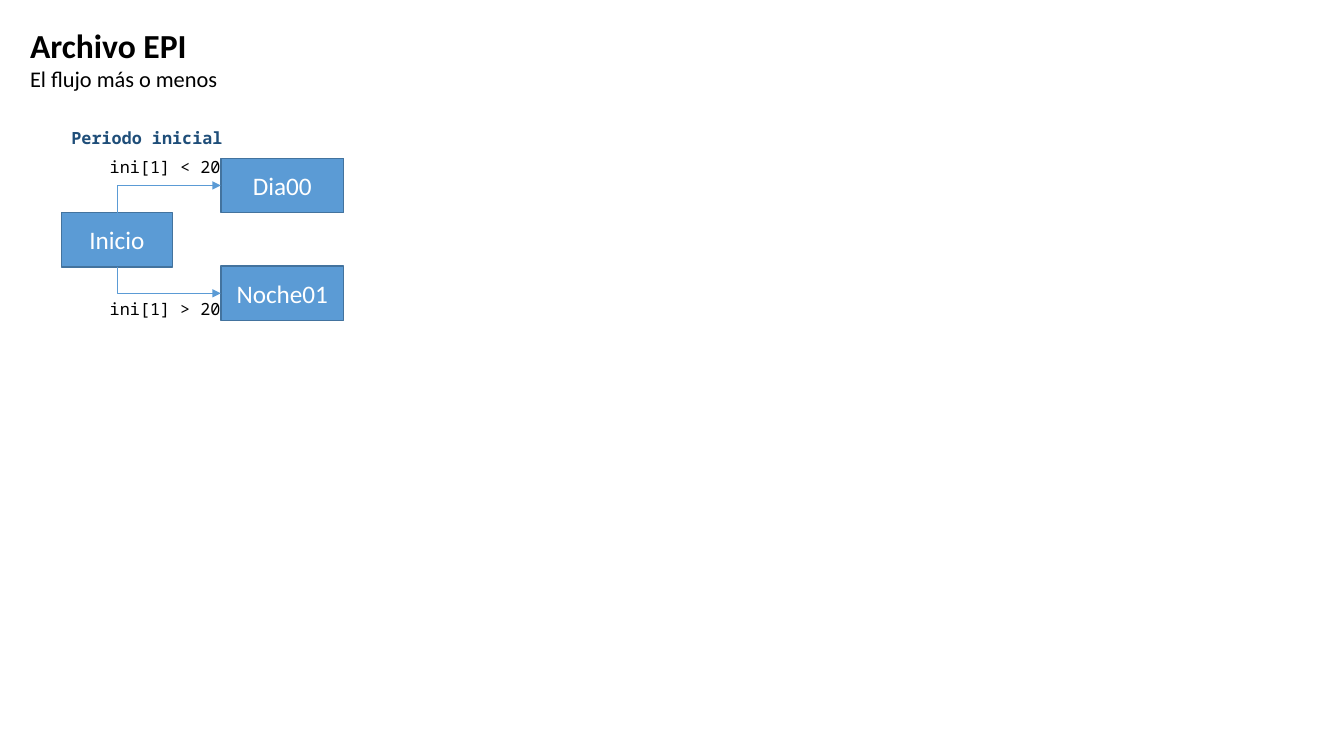
import pptx
import pptx.dml.color
import pptx.enum.shapes
import pptx.enum.text
import pptx.oxml
import pptx.oxml.ns
import pptx.util
from pptx.util import Inches

BODY_FONT = "Calibri"
CODE_FONT = "Noto Sans Mono"
BLUE = "5B9BD5"
BOX_HEIGHT = 0.54
TOP, BOTTOM, RIGHT_ENTRY = 0, 2, 1


def color(hex_value):
    return pptx.dml.color.RGBColor.from_string(hex_value)


def write_text(paragraph, text, size=12, font=BODY_FONT, fill="000000", bold=False):
    run = paragraph.add_run()
    run.text = text
    run.font.size = pptx.util.Pt(size)
    run.font.name = font
    run.font.bold = bold
    run.font.color.rgb = color(fill)


def add_text_box(slide, left, top, width, height, lines):
    """Each line is a pair: its text and its format."""
    shape = slide.shapes.add_textbox(
        Inches(left), Inches(top), Inches(width), Inches(height))
    frame = shape.text_frame
    frame.word_wrap = True
    for index, (text, text_format) in enumerate(lines):
        paragraph = frame.add_paragraph() if index else frame.paragraphs[0]
        write_text(paragraph, text, **text_format)


def add_state(slide, text, left, top, width):
    shape = slide.shapes.add_shape(
        pptx.enum.shapes.MSO_SHAPE.RECTANGLE,
        Inches(left), Inches(top), Inches(width), Inches(BOX_HEIGHT))
    shape.shadow.inherit = False
    shape.fill.solid()
    shape.fill.fore_color.rgb = color(BLUE)
    shape.line.color.rgb = color("43739E")
    shape.line.width = pptx.util.Pt(1)
    frame = shape.text_frame
    frame.word_wrap = True
    frame.vertical_anchor = pptx.enum.text.MSO_ANCHOR.MIDDLE
    paragraph = frame.paragraphs[0]
    paragraph.alignment = pptx.enum.text.PP_ALIGN.CENTER
    write_text(paragraph, text, size=18, fill="FFFFFF")
    return shape


def add_bent_arrow(slide, source, target, side):
    """One-corner arrow from the top or bottom of source to the left of target."""
    start_x = source.left + source.width // 2
    start_y = source.top + (source.height if side == BOTTOM else 0)
    end_x = target.left
    end_y = target.top + target.height // 2
    connector = slide.shapes.add_connector(
        pptx.enum.shapes.MSO_CONNECTOR.ELBOW, start_x, start_y, end_x, end_y)
    connector.begin_connect(source, side)
    connector.end_connect(target, RIGHT_ENTRY)
    connector.line.color.rgb = color(BLUE)
    connector.line.width = pptx.util.Pt(0.5)

    # The single-corner preset leaves sideways, so its frame is turned a quarter
    run_length, rise = end_x - start_x, abs(end_y - start_y)
    connector.width, connector.height = rise, run_length
    connector.left = (start_x + end_x - rise) // 2
    connector.top = (start_y + end_y - run_length) // 2
    properties = connector._element.spPr
    properties.find(pptx.oxml.ns.qn("a:prstGeom")).set("prst", "bentConnector2")
    frame = properties.find(pptx.oxml.ns.qn("a:xfrm"))
    frame.set("rot", str((90 if side == TOP else 270) * 60000))
    frame.set("flipH", "1")
    frame.set("flipV", "1" if side == TOP else "0")

    # Arrowhead and no shadow
    arrowhead = pptx.oxml.parse_xml(
        "<a:tailEnd %s type='triangle'/>" % pptx.oxml.ns.nsdecls("a"))
    connector.line._get_or_add_ln().append(arrowhead)
    properties.append(pptx.oxml.parse_xml(
        "<a:effectLst %s/>" % pptx.oxml.ns.nsdecls("a")))


def main():
    presentation = pptx.Presentation()
    presentation.slide_width = Inches(13.33)
    presentation.slide_height = Inches(7.5)
    slide = presentation.slides.add_slide(presentation.slide_layouts[6])

    # Heading
    add_text_box(slide, 0.2, 0.2, 12.63, 0.77, [
        ("Archivo EPI", {"size": 24, "bold": True}),
        ("El flujo más o menos", {"size": 16}),
    ])

    # Start state and its two branches
    start = add_state(slide, "Inicio", 0.61, 2.11, 1.1)
    night = add_state(slide, "Noche01", 2.19, 2.64, 1.22)
    day = add_state(slide, "Dia00", 2.19, 1.57, 1.22)
    add_bent_arrow(slide, start, day, TOP)
    add_bent_arrow(slide, start, night, BOTTOM)

    # Branch conditions
    for condition, top in (("ini[1] < 20", 1.51), ("ini[1] > 20", 2.91)):
        add_text_box(slide, 0.99, top, 1.37, 0.3, [(condition, {"font": CODE_FONT})])

    # Diagram title
    add_text_box(slide, 0.61, 1.22, 1.7, 0.3, [
        ("Periodo inicial", {"font": CODE_FONT, "fill": "1F4E79", "bold": True}),
    ])

    presentation.save("out.pptx")


if __name__ == "__main__":
    main()
